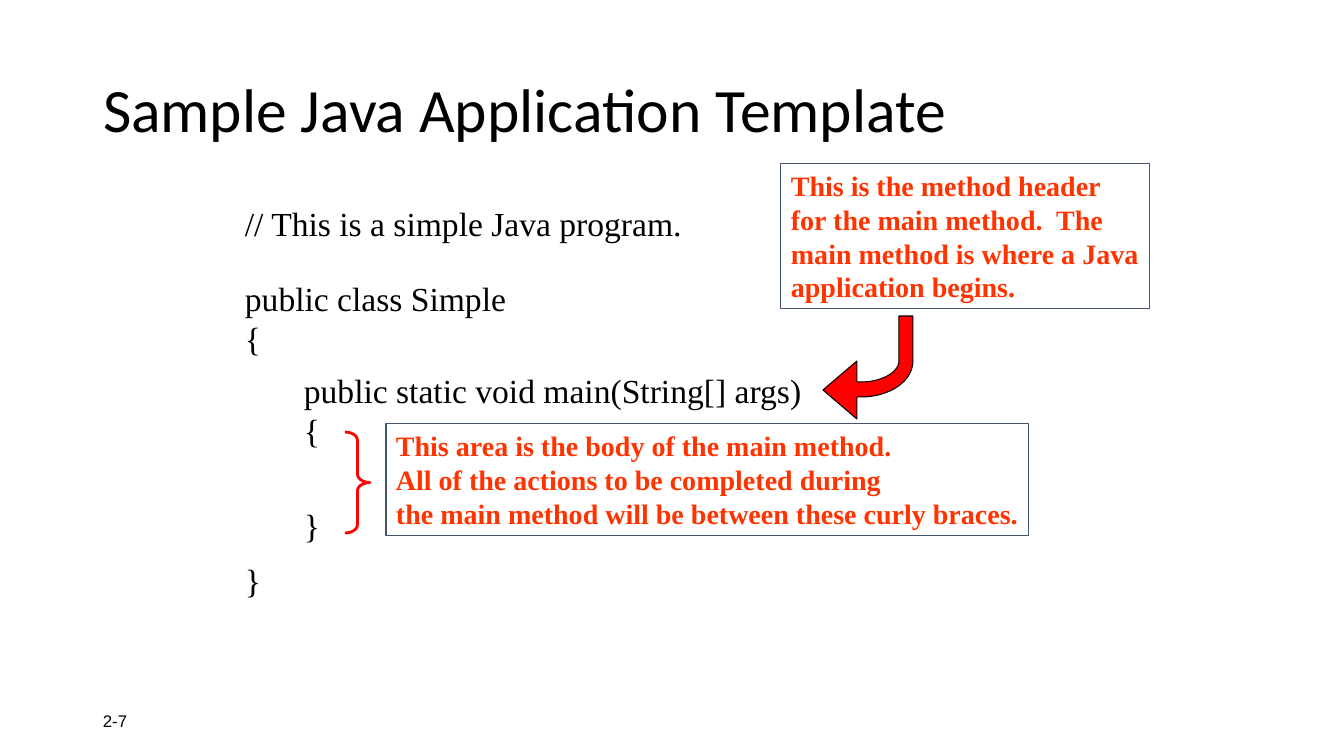
from dataclasses import dataclass

from pptx import Presentation
from pptx.dml.color import RGBColor
from pptx.enum.shapes import MSO_SHAPE
from pptx.enum.text import MSO_ANCHOR, MSO_AUTO_SIZE, PP_ALIGN
from pptx.util import Pt

RECTANGLE, RIGHT_BRACE = MSO_SHAPE.RECTANGLE, MSO_SHAPE.RIGHT_BRACE
TOP, MIDDLE = MSO_ANCHOR.TOP, MSO_ANCHOR.MIDDLE
LEFT = PP_ALIGN.LEFT
NO_AUTOFIT = MSO_AUTO_SIZE.NONE


@dataclass(frozen=True)
class Style:
    font: str
    size: int
    color: str
    bold: bool = False


@dataclass(frozen=True)
class Theme:
    title: Style = Style("Calibri", 44, "000000")
    code: Style = Style("Times New Roman", 24, "000000")
    callout: Style = Style("Times New Roman", 20, "FF3300", True)
    page: Style = Style("Arial", 12, "000000")
    border: str = "44546A"
    outline: str = "000000"
    accent: str = "FF0000"
    thin: float = 0.75
    thick: float = 2


THEME = Theme()

TITLE = ("Sample Java Application Template", (93, 40, 1159, 146))
PAGE_NUMBER = ("2-7", (93, 701, 302, 40))

# Each code block: frame, then (line, space before in points).
CODE_BLOCKS = [
    ((235, 198, 462, 50), [("// This is a simple Java program.", 0)]),
    ((235, 273, 328, 341), [("public class Simple", 0), ("{", 0), ("}", 144)]),
    ((294, 365, 522, 238),
     [("public static void main(String[] args)", 0), ("{", 0), ("}", 39)]),
]

CALLOUTS = [
    ((386, 424, 643, 112), [
        "This area is the body of the main method.",
        "All of the actions to be completed during",
        "the main method will be between these curly braces.",
    ]),
    ((781, 164, 369, 145), [
        "This is the method header",
        "for the main method.  The",
        "main method is where a Java",
        "application begins.",
    ]),
]

BODY_BRACE = (345, 432, 25, 101)

ARROW_TIP = (823, 390)
ARROW_OUTER_CURVE = [(861, 397), (890, 397), (913, 381), (913, 361)]
ARROW_INNER_CURVE = [(899, 361), (899, 372), (882, 382), (861, 382)]
ARROW_TAIL = [(913, 316), (899, 316)]
ARROW_HEAD_BOTTOM = [(857, 419), (857, 397)]
ARROW_HEAD_TOP = [(857, 382), (857, 361)]
CURVE_STEPS = 16

SLIDE_SIZE = (1344, 756)
EMU_PER_PX = 914400 / 100.8


def emu(*lengths):
    return [round(length * EMU_PER_PX) for length in lengths]


def write(text_frame, lines, style, anchor=TOP):
    text_frame.auto_size = NO_AUTOFIT
    text_frame.word_wrap = True
    text_frame.vertical_anchor = anchor
    for index, (line, space_before) in enumerate(lines):
        paragraph = text_frame.add_paragraph() if index else text_frame.paragraphs[0]
        paragraph.text = line
        paragraph.alignment = LEFT
        paragraph.space_before = Pt(space_before)
        font = paragraph.font
        font.name, font.size, font.bold = style.font, Pt(style.size), style.bold
        font.color.rgb = RGBColor.from_string(style.color)


def add_text(slide, frame, lines, style, anchor=TOP):
    box = slide.shapes.add_textbox(*emu(*frame))
    write(box.text_frame, lines, style, anchor)


def finish(shape, line_color, line_width, fill_color=None):
    shape.shadow.inherit = False
    shape.line.color.rgb = RGBColor.from_string(line_color)
    shape.line.width = Pt(line_width)
    if fill_color:
        shape.fill.solid()
        shape.fill.fore_color.rgb = RGBColor.from_string(fill_color)
    else:
        shape.fill.background()


def add_callout(slide, frame, lines):
    callout = slide.shapes.add_shape(RECTANGLE, *emu(*frame))
    finish(callout, THEME.border, THEME.thin)
    callout.text_frame.margin_right = 0
    write(callout.text_frame, [(line, 0) for line in lines], THEME.callout)


def add_brace(slide):
    brace = slide.shapes.add_shape(RIGHT_BRACE, *emu(*BODY_BRACE))
    brace.adjustments[0] = 0.33
    brace.adjustments[1] = 0.5
    finish(brace, THEME.accent, THEME.thick)


def curve_points(controls):
    points = []
    for step in range(CURVE_STEPS + 1):
        t = step / CURVE_STEPS
        weights = ((1 - t) ** 3, 3 * t * (1 - t) ** 2, 3 * t * t * (1 - t), t ** 3)
        points.append(tuple(sum(w * value for w, value in zip(weights, axis))
                            for axis in zip(*controls)))
    return points


def add_arrow(slide):
    outline = (ARROW_HEAD_BOTTOM + curve_points(ARROW_OUTER_CURVE) + ARROW_TAIL
               + curve_points(ARROW_INNER_CURVE) + ARROW_HEAD_TOP)
    builder = slide.shapes.build_freeform(*emu(*ARROW_TIP))
    builder.add_line_segments([emu(*point) for point in outline], close=True)
    finish(builder.convert_to_shape(), THEME.outline, THEME.thin, THEME.accent)


def main():
    presentation = Presentation()
    presentation.slide_width, presentation.slide_height = emu(*SLIDE_SIZE)
    slide = presentation.slides.add_slide(presentation.slide_layouts[5])

    title_text, title_frame = TITLE
    title = slide.shapes.title
    title.left, title.top, title.width, title.height = emu(*title_frame)
    write(title.text_frame, [(title_text, 0)], THEME.title, MIDDLE)
    title.text_frame.paragraphs[0].line_spacing = 0.9

    page_text, page_frame = PAGE_NUMBER
    add_text(slide, page_frame, [(page_text, 0)], THEME.page, MIDDLE)
    for frame, lines in CODE_BLOCKS:
        add_text(slide, frame, lines, THEME.code)
    for frame, lines in CALLOUTS:
        add_callout(slide, frame, lines)
    add_brace(slide)
    add_arrow(slide)
    presentation.save("out.pptx")


if __name__ == "__main__":
    main()
